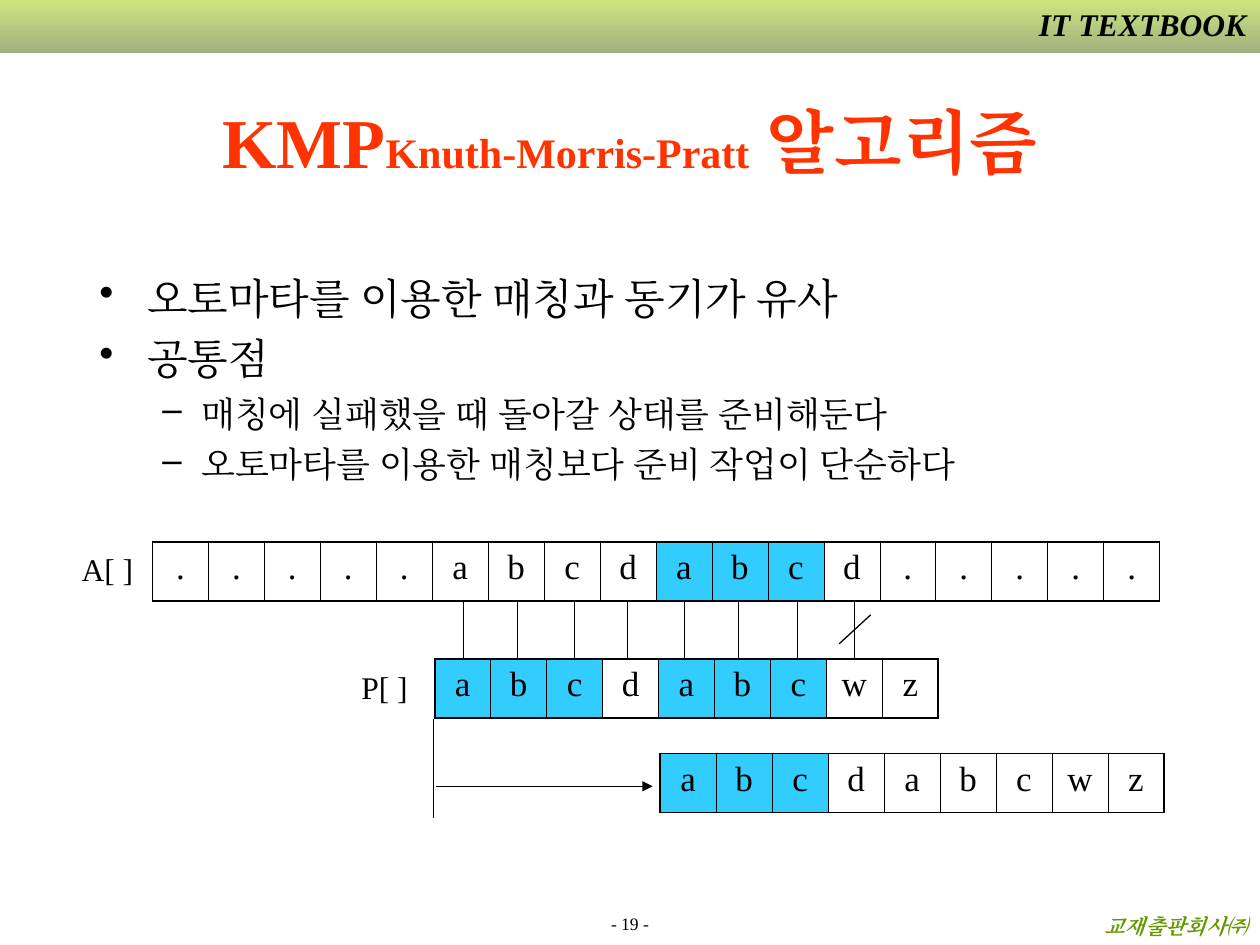
from dataclasses import dataclass

from lxml.etree import SubElement
from pptx import Presentation
from pptx.dml.color import RGBColor
from pptx.enum.shapes import MSO_CONNECTOR, MSO_SHAPE
from pptx.enum.text import MSO_ANCHOR, PP_ALIGN
from pptx.oxml import parse_xml
from pptx.oxml.ns import nsdecls, qn
from pptx.slide import Slide
from pptx.text.text import _Paragraph
from pptx.util import Inches, Pt


@dataclass(frozen=True)
class Theme:
    font: str = "Times New Roman"
    black: str = "000000"
    title: str = "FF3300"
    footer: str = "669900"
    match: str = "33CCFF"
    band_top: str = "CCE680"
    band_bottom: str = "A3AF80"
    shadow: str = "FFFFFF"
    title_size: int = 40
    subtitle_size: int = 24
    body_sizes: tuple[int, ...] = (24, 20)
    cell_size: int = 20
    label_size: int = 18
    footer_size: int = 12
    page_size: int = 10
    thin: float = 0.45
    outer: float = 1.08
    line: float = 0.75


@dataclass(frozen=True)
class Run:
    text: str
    size: int
    color: str = "000000"
    bold: bool = False
    italic: bool = False
    shadow: bool = False


@dataclass(frozen=True)
class Box:
    left: float
    top: float
    width: float
    height: float
    runs: tuple[Run, ...]
    align: PP_ALIGN = PP_ALIGN.LEFT
    anchor: MSO_ANCHOR = MSO_ANCHOR.TOP
    wrap: bool = True


@dataclass(frozen=True)
class Strip:
    left: float
    top: float
    width: float
    letters: str
    matched: tuple[int, ...]


@dataclass(frozen=True)
class Line:
    x1: float
    y1: float
    x2: float
    y2: float
    arrow: bool = False


THEME = Theme()
ROW_HEIGHT = 0.47
BOXES = (
    Box(0, 7.24, 10, 0.22, (Run("- 19 -", THEME.page_size),), PP_ALIGN.CENTER, MSO_ANCHOR.BOTTOM),
    Box(0.06, 7.2, 9.94, 0.3, (Run("교재출판회사㈜", THEME.footer_size, THEME.footer, True, True),),
        PP_ALIGN.RIGHT),
    Box(7.88, -0.01, 2.11, 0.4, (Run("IT TEXTBOOK", THEME.label_size, THEME.black, True, True, True),),
        PP_ALIGN.RIGHT),
    Box(0.75, 0.49, 8.5, 1.25,
        (Run("KMP", THEME.title_size, THEME.title, True),
         Run("Knuth-Morris-Pratt", THEME.subtitle_size, THEME.title, True),
         Run(" 알고리즘", THEME.title_size, THEME.title, True)),
        PP_ALIGN.CENTER, MSO_ANCHOR.MIDDLE),
    Box(0.55, 4.32, 0.61, 0.4, (Run("A[ ]", THEME.label_size),), wrap=False),
    Box(2.77, 5.25, 0.66, 0.4, (Run("P[ ]", THEME.label_size),)),
)
BULLETS = (
    (0, "오토마타를 이용한 매칭과 동기가 유사"),
    (0, "공통점"),
    (1, "매칭에 실패했을 때 돌아갈 상태를 준비해둔다"),
    (1, "오토마타를 이용한 매칭보다 준비 작업이 단순하다"),
)
LEVELS = (("•", 0.38, 0.38, 6), ("–", 0.81, 0.31, 5))
STRIPS = (
    Strip(1.21, 4.3, 8, ".....abcdabcd.....", (9, 10, 11)),
    Strip(3.45, 5.23, 4, "abcdabcwz", (0, 1, 2, 4, 5, 6)),
    Strip(5.24, 5.98, 4, "abcdabcwz", (0, 1, 2)),
)
MATCH_XS = (3.68, 4.11, 4.56, 4.98, 5.43, 5.86, 6.33, 6.78)
LINES = tuple(Line(x, 4.76, x, 5.24) for x in MATCH_XS) + (
    Line(6.91, 4.88, 6.66, 5.11),
    Line(3.46, 6.24, 5.18, 6.24, True),
    Line(3.44, 5.71, 3.44, 6.49),
)


def add_run(p: _Paragraph, run: Run) -> None:
    r = p.add_run()
    r.text = run.text
    font = r.font
    font.size, font.bold, font.italic = Pt(run.size), run.bold, run.italic
    font.color.rgb = RGBColor.from_string(run.color)
    rpr = font._element
    if run.shadow:
        rpr.append(parse_xml(
            f'<a:effectLst {nsdecls("a")}><a:outerShdw dist="25400" dir="2700000">'
            f'<a:srgbClr val="{THEME.shadow}"/></a:outerShdw></a:effectLst>'))
    font.name = THEME.font
    SubElement(rpr, qn("a:ea"), typeface=THEME.font)


def add_band(s: Slide) -> None:
    sp = s.shapes.add_shape(MSO_SHAPE.RECTANGLE, 0, 0, Inches(10), Inches(0.42))
    sp.shadow.inherit = False
    sp.line.fill.background()
    sp.fill.gradient()
    sp.fill.gradient_angle = 270
    for stop, color in zip(sp.fill.gradient_stops, (THEME.band_top, THEME.band_bottom)):
        stop.color.rgb = RGBColor.from_string(color)


def add_box(s: Slide, box: Box) -> None:
    tf = s.shapes.add_textbox(*map(Inches, (box.left, box.top, box.width, box.height))).text_frame
    tf.word_wrap, tf.vertical_anchor = box.wrap, box.anchor
    p = tf.paragraphs[0]
    p.alignment = box.align
    for run in box.runs:
        add_run(p, run)


def add_bullets(s: Slide) -> None:
    tf = s.shapes.add_textbox(Inches(0.69), Inches(2.11), Inches(8.5), Inches(2.01)).text_frame
    tf.word_wrap = True
    for i, (level, text) in enumerate(BULLETS):
        p = tf.add_paragraph() if i else tf.paragraphs[0]
        char, margin, hang, before = LEVELS[level]
        p.level, p.space_before = level, Pt(before)
        ppr = p._p.get_or_add_pPr()
        ppr.set("marL", str(Inches(margin)))
        ppr.set("indent", str(-Inches(hang)))
        SubElement(ppr, qn("a:buChar"), char=char)
        add_run(p, Run(text, THEME.body_sizes[level]))


def add_strip(s: Slide, strip: Strip) -> None:
    count = len(strip.letters)
    size = map(Inches, (strip.left, strip.top, strip.width, ROW_HEIGHT))
    table = s.shapes.add_table(1, count, *size).table
    table.first_row = table.horz_banding = False
    for i, letter in enumerate(strip.letters):
        table.columns[i].width = Inches(strip.width / count)
        cell = table.cell(0, i)
        widths = {
            "L": THEME.thin if i else THEME.outer,
            "R": THEME.thin if i < count - 1 else THEME.outer,
            "T": THEME.outer,
            "B": THEME.outer,
        }
        for side, width in widths.items():
            cell._tc.get_or_add_tcPr().append(parse_xml(
                f'<a:ln{side} {nsdecls("a")} w="{Pt(width)}"><a:solidFill>'
                f'<a:srgbClr val="{THEME.black}"/></a:solidFill></a:ln{side}>'))
        if i in strip.matched:
            cell.fill.solid()
            cell.fill.fore_color.rgb = RGBColor.from_string(THEME.match)
        else:
            cell.fill.background()
        p = cell.text_frame.paragraphs[0]
        p.alignment, p.space_before = PP_ALIGN.CENTER, Pt(5)
        add_run(p, Run(letter, THEME.cell_size))


def add_line(s: Slide, line: Line) -> None:
    ends = map(Inches, (line.x1, line.y1, line.x2, line.y2))
    sp = s.shapes.add_connector(MSO_CONNECTOR.STRAIGHT, *ends)
    sp.line.width = Pt(THEME.line)
    sp.line.color.rgb = RGBColor.from_string(THEME.black)
    if line.arrow:
        SubElement(sp.line._get_or_add_ln(), qn("a:tailEnd"), type="triangle")
    SubElement(sp._element.spPr, qn("a:effectLst"))


def main() -> None:
    """Build the KMP matching slide."""
    prs = Presentation()
    prs.slide_width, prs.slide_height = Inches(10), Inches(7.5)
    s = prs.slides.add_slide(prs.slide_layouts[6])
    add_band(s)
    for box in BOXES:
        add_box(s, box)
    add_bullets(s)
    for strip in STRIPS:
        add_strip(s, strip)
    for line in LINES:
        add_line(s, line)
    prs.save("out.pptx")


if __name__ == "__main__":
    main()
